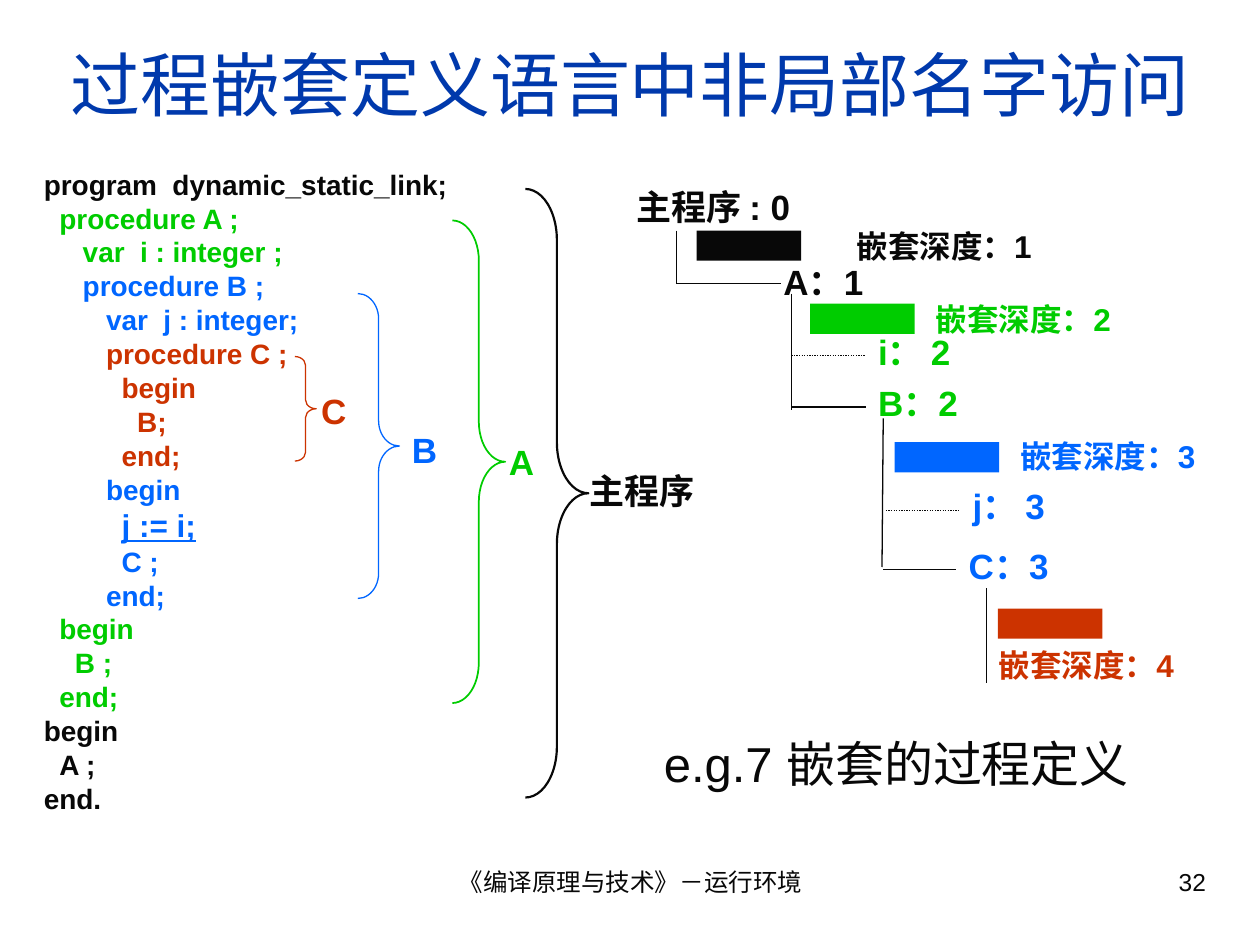
from lxml.etree import SubElement
from pptx import Presentation
from pptx.dml.color import RGBColor
from pptx.enum.dml import MSO_LINE
from pptx.enum.shapes import MSO_CONNECTOR, MSO_SHAPE
from pptx.enum.text import MSO_ANCHOR, MSO_AUTO_SIZE, PP_ALIGN
from pptx.oxml.ns import qn
from pptx.util import Emu, Pt

SCALE = 9144
SPACE = 6.17
BLACK, GREEN, BLUE, RED, NAVY = "080808", "00CC00", "0066FF", "CC3300", "0039AC"

CODE = [
    (0, "program  dynamic_static_link;", BLACK),
    (2, "procedure A ;", GREEN),
    (5, "var  i : integer ;", GREEN),
    (5, "procedure B ;", BLUE),
    (8, "var  j : integer;", BLUE),
    (8, "procedure C ;", RED),
    (10, "begin", RED),
    (12, "B;", RED),
    (10, "end;", RED),
    (8, "begin", BLUE),
    (10, "j := i;", BLUE),
    (10, "C ;", BLUE),
    (8, "end;", BLUE),
    (2, "begin", GREEN),
    (4, "B ;", GREEN),
    (2, "end;", GREEN),
    (0, "begin", BLACK),
    (2, "A ;", BLACK),
    (0, "end.", BLACK),
]


def px(num):
    return Emu(round(num * SCALE))


def hue(code):
    return RGBColor.from_string(code)


def style(item, look):
    for key, val in look.items():
        setattr(item, key, val)


def write(para, text, size, color, **look):
    run = para.add_run()
    run.text = text
    style(run.font, {"name": "Arial", "size": Pt(size), **look})
    run.font.color.rgb = hue(color)


def label(slide, box, text, size, color, look=None, bold=True):
    frame = slide.shapes.add_textbox(*map(px, box)).text_frame
    style(frame, {"word_wrap": True, "auto_size": MSO_AUTO_SIZE.NONE})
    para = frame.paragraphs[0]
    style(para, look or {"space_before": Pt(size * 0.625)})
    write(para, text, size, color, bold=bold)


def rule(slide, ends, dash=None):
    line = slide.shapes.add_connector(MSO_CONNECTOR.STRAIGHT, *map(px, ends))
    line.line.color.rgb = hue(BLACK)
    style(line.line, {"width": Pt(0.75), "dash_style": dash})
    SubElement(line._element.spPr, qn("a:effectLst"))


def head(slide, box):
    title = slide.shapes.title
    style(title, dict(zip(("left", "top", "width", "height"), map(px, box))))
    frame = title.text_frame
    style(frame, {"word_wrap": True, "auto_size": MSO_AUTO_SIZE.NONE,
                  "vertical_anchor": MSO_ANCHOR.MIDDLE})
    para = frame.paragraphs[0]
    para.alignment = PP_ALIGN.CENTER
    write(para, "过程嵌套定义语言中非局部名字访问", 40, NAVY)


def code(slide, box):
    frame = slide.shapes.add_textbox(*map(px, box)).text_frame
    style(frame, {"word_wrap": True, "auto_size": MSO_AUTO_SIZE.NONE})
    for row, (gap, text, color) in enumerate(CODE):
        para = frame.add_paragraph() if row else frame.paragraphs[0]
        key = text == "j := i;"
        size = 18 if key else 16
        style(para, {"line_spacing": 0.8, "space_before": Pt(size / 4)})
        para._p.get_or_add_pPr().set("marL", str(px(gap * SPACE)))
        write(para, text, size, color, bold=True, underline=key)


def scopes(slide, box):
    left, top = box[:2]
    for x, y, wide, high, color, thick, name, dx, dy, span in [
        (0, 133, 17, 83, RED, 0.75, "C", 11, 154, 42),
        (50, 83, 33, 242, BLUE, 0.75, "B", 83, 185, 42),
        (125, 25, 42, 383, GREEN, 1, "A", 160, 195, 42),
        (183, 0, 50, 483, BLACK, 1.25, "主程序", 224, 218, 117),
    ]:
        brace = slide.shapes.add_shape(
            MSO_SHAPE.RIGHT_BRACE, *map(px, (left + x, top + y, wide, high)))
        brace.shadow.inherit = False
        brace.adjustments[0] = round(high / 12 / wide, 2)
        brace.fill.background()
        brace.line.color.rgb = hue(color)
        brace.line.width = Pt(thick)
        label(slide, (left + dx, top + dy, span, 44), name, 20, color)


def tree(slide, box):
    left, top = box[:2]
    for x, y, wide, text, color in [
        (0, 0, 325, "主程序 : 0", BLACK),
        (117, 60, 233, "A：1", BLACK),
        (192, 115, 125, "i： 2", GREEN),
        (192, 156, 125, "B：2", GREEN),
        (267, 238, 125, "j： 3", BLUE),
        (264, 285, 100, "C：3", BLUE),
    ]:
        label(slide, (left + x, top + y, wide, 44), text, 20, color)
    for x, y, x2, y2, dash in [
        (42, 41, 42, 83, None),
        (42, 83, 125, 83, None),
        (133, 91, 133, 183, None),
        (133, 140, 192, 140, MSO_LINE.ROUND_DOT),
        (133, 181, 192, 181, None),
        (205, 308, 206, 190, None),
        (208, 263, 267, 263, MSO_LINE.ROUND_DOT),
        (206, 310, 264, 310, None),
        (288, 325, 288, 400, None),
    ]:
        rule(slide, (left + x, top + y, left + x2, top + y2), dash)
    for depth, (x, y, dx, dy, color) in enumerate([
        (58, 41, 175, 33, BLACK),
        (148, 99, 238, 91, GREEN),
        (215, 209, 305, 200, BLUE),
        (297, 341, 288, 366, RED),
    ], 1):
        bar = slide.shapes.add_shape(
            MSO_SHAPE.RECTANGLE, *map(px, (left + x, top + y, 83, 24)))
        bar.shadow.inherit = False
        bar.fill.solid()
        bar.fill.fore_color.rgb = hue(color)
        bar.line.fill.background()
        label(slide, (left + dx, top + dy, 183, 40), f"嵌套深度：{depth}", 18, color)


def foot(slide, box):
    left, top, wide, high = box
    label(slide, (left, top, 317, high), "《编译原理与技术》－运行环境", 14, BLACK,
          {"alignment": PP_ALIGN.CENTER}, False)
    label(slide, (left + wide - 250, top, 250, high), "32", 14, BLACK,
          {"alignment": PP_ALIGN.RIGHT}, False)


def main():
    deck = Presentation()
    style(deck, {"slide_width": px(1000), "slide_height": px(750)})
    slide = deck.slides.add_slide(deck.slide_layouts[5])
    head(slide, (33, 25, 934, 83))
    code(slide, (25, 133, 350, 534))
    scopes(slide, (234, 150, 341, 483))
    tree(slide, (495, 142, 488, 406))
    label(slide, (517, 577, 408, 57), "e.g.7 嵌套的过程定义", 28, BLACK, bold=False)
    foot(slide, (342, 683, 625, 52))
    deck.save("out.pptx")


if __name__ == "__main__":
    main()
